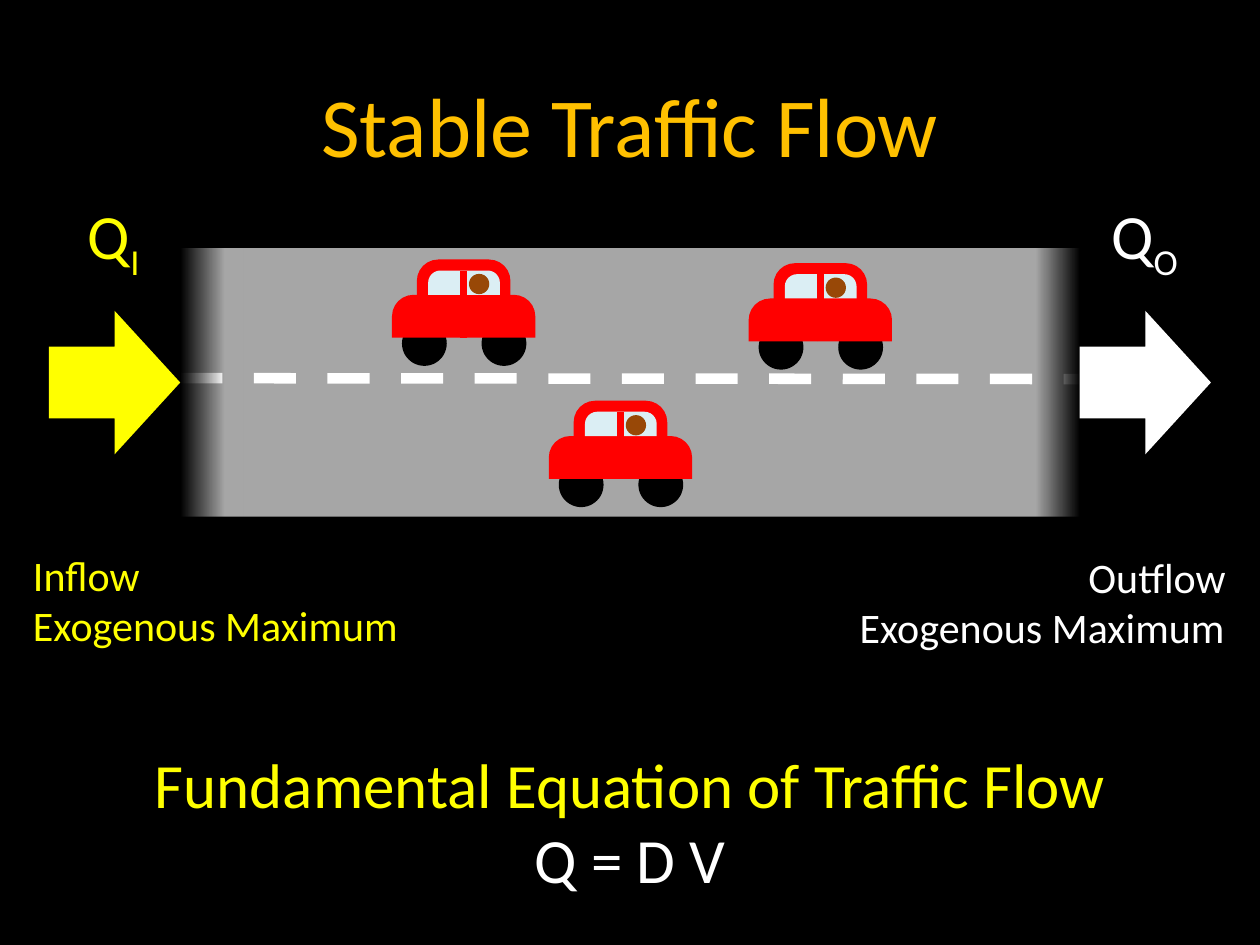
from dataclasses import dataclass

from lxml.etree import SubElement
from pptx import Presentation
from pptx.dml.color import RGBColor
from pptx.enum.dml import MSO_LINE_DASH_STYLE as Dash
from pptx.enum.shapes import MSO_CONNECTOR, MSO_SHAPE as Shape
from pptx.enum.text import MSO_ANCHOR as Anchor, PP_ALIGN as Align
from pptx.oxml.ns import qn
from pptx.util import Pt


@dataclass(frozen=True)
class Theme:
    font: str = "Calibri"
    black: str = "000000"
    white: str = "FFFFFF"
    yellow: str = "FFFF00"
    gold: str = "FFC000"
    road: str = "A6A6A6"
    car: str = "FF0000"
    window: str = "DBEEF4"
    driver: str = "984807"
    title_size: int = 48
    large_size: int = 36
    label_size: int = 24


THEME = Theme()
WIDTH, HEIGHT = 720, 540
ROAD_LEFT, ROAD_TOP, ROAD_WIDTH, ROAD_HEIGHT = 103, 141.8, 514.8, 153.5
MASK_WIDTH = 139
ARROW_WIDTH, ARROW_HEIGHT, ARROW_TOP = 75, 82, 177.6
CARS = [(224, 148.3), (313.6, 229), (427.8, 150.4)]


def rgb(color):
    return RGBColor.from_string(color)


def add_block(shapes, kind, box, color):
    block = shapes.add_shape(kind, *map(Pt, box))
    block.shadow.inherit = False
    block.fill.solid()
    block.fill.fore_color.rgb = rgb(color)
    block.line.fill.background()
    return block


def add_line(shapes, start, end, color, width):
    line = shapes.add_connector(MSO_CONNECTOR.STRAIGHT, *map(Pt, (*start, *end)))
    line.line.color.rgb = rgb(color)
    line.line.width = Pt(width)
    SubElement(line._element.spPr, qn("a:effectLst"))
    return line


def add_rounded_top(shapes, box, color):
    block = add_block(shapes, Shape.ROUND_2_SAME_RECTANGLE, box, color)
    block.adjustments[0] = 0.5
    block.adjustments[1] = 0


def add_car(page, left, top):
    shapes = page.shapes.add_group_shape().shapes
    for wheel_x in (5.7, 51.2):
        wheel = (left + wheel_x, top + 35.2, 25.6, 25.6)
        add_block(shapes, Shape.OVAL, wheel, THEME.black)
    add_rounded_top(shapes, (left, top + 20.2, 81.9, 24.5), THEME.car)
    add_rounded_top(shapes, (left + 14.2, top, 53.5, 24.5), THEME.car)
    add_rounded_top(shapes, (left + 20.7, top + 6.3, 41, 13.9), THEME.window)
    pillar_x = left + 41
    add_line(shapes, (pillar_x, top + 44.7), (pillar_x, top + 6.3), THEME.car, 4)
    driver = (left + 44, top + 8.2, 11.6, 11.6)
    add_block(shapes, Shape.OVAL, driver, THEME.driver)


def add_fade(page, left, angle):
    """Cover a road end with black that turns transparent along the angle."""
    mask = add_block(page.shapes, Shape.RECTANGLE,
                     (left, 0, MASK_WIDTH, HEIGHT), THEME.black)
    mask.fill.gradient()
    gradient = mask._element.spPr.find(qn("a:gradFill"))
    for child in list(gradient):
        gradient.remove(child)
    stops = SubElement(gradient, qn("a:gsLst"))
    for percent, opacity in ((0, 100), (74, 100), (92, 0), (100, 0)):
        stop = SubElement(stops, qn("a:gs"), pos=str(percent * 1000))
        color = SubElement(stop, qn("a:srgbClr"), val=THEME.black)
        SubElement(color, qn("a:alpha"), val=str(opacity * 1000))
    SubElement(gradient, qn("a:lin"), ang=str(angle * 60000), scaled="0")


def add_text(page, box, lines, size, anchor=Anchor.TOP):
    """Write lines given as (text, color, alignment)."""
    text_box = page.shapes.add_textbox(*map(Pt, box))
    frame = text_box.text_frame
    frame.word_wrap = True
    frame.vertical_anchor = anchor
    frame.text = "\n".join(text for text, _, _ in lines)
    for para, (_, color, align) in zip(frame.paragraphs, lines):
        para.alignment = align
        for span in para.runs:
            style_span(span, color, size)
    return frame


def style_span(span, color, size):
    span.font.name = THEME.font
    span.font.size = Pt(size)
    span.font.color.rgb = rgb(color)


def add_symbol(page, box, subscript, color):
    frame = add_text(page, box, [("Q", color, Align.CENTER)], THEME.large_size)
    span = frame.paragraphs[0].add_run()
    span.text = subscript
    style_span(span, color, THEME.large_size)
    span._r.get_or_add_rPr().set("baseline", "-25000")


def add_road(page):
    group = page.shapes.add_group_shape().shapes
    add_block(group, Shape.RECTANGLE,
              (ROAD_LEFT, ROAD_TOP, ROAD_WIDTH, ROAD_HEIGHT), THEME.road)
    divider = add_line(group, (ROAD_LEFT, 216.1), (617, 216.6), THEME.white, 6)
    divider.line.dash_style = Dash.DASH


def main():
    deck = Presentation()
    deck.slide_width, deck.slide_height = Pt(WIDTH), Pt(HEIGHT)
    page = deck.slides.add_slide(deck.slide_layouts[6])
    page.background.fill.solid()
    page.background.fill.fore_color.rgb = rgb(THEME.black)

    add_road(page)
    for left, top in CARS:
        add_car(page, left, top)
    add_text(page, (0, 0, WIDTH, 142),
             [("Stable Traffic Flow", THEME.gold, Align.CENTER)],
             THEME.title_size, Anchor.MIDDLE)
    add_fade(page, 0, 0)
    add_fade(page, WIDTH - MASK_WIDTH, 180)
    for left, color in ((28, THEME.yellow), (617, THEME.white)):
        add_block(page.shapes, Shape.RIGHT_ARROW,
                  (left, ARROW_TOP, ARROW_WIDTH, ARROW_HEIGHT), color)

    add_symbol(page, (38, 108.7, 54, 51), "I", THEME.yellow)
    add_symbol(page, (622, 108.7, 64, 51), "O", THEME.white)
    add_text(page, (0, 398, WIDTH, 142),
             [("Fundamental Equation of Traffic Flow", THEME.yellow, Align.CENTER),
              ("Q = D V", THEME.white, Align.CENTER)],
             THEME.large_size, Anchor.MIDDLE)
    add_text(page, (11.8, 310.3, 232.6, 65.4),
             [("Inflow", THEME.yellow, Align.LEFT),
              ("Exogenous Maximum", THEME.yellow, Align.LEFT)],
             THEME.label_size)
    add_text(page, (483.5, 311.5, 224, 65.4),
             [("Outflow", THEME.white, Align.RIGHT),
              ("Exogenous Maximum", THEME.white, Align.CENTER)],
             THEME.label_size)
    deck.save("out.pptx")


if __name__ == "__main__":
    main()
